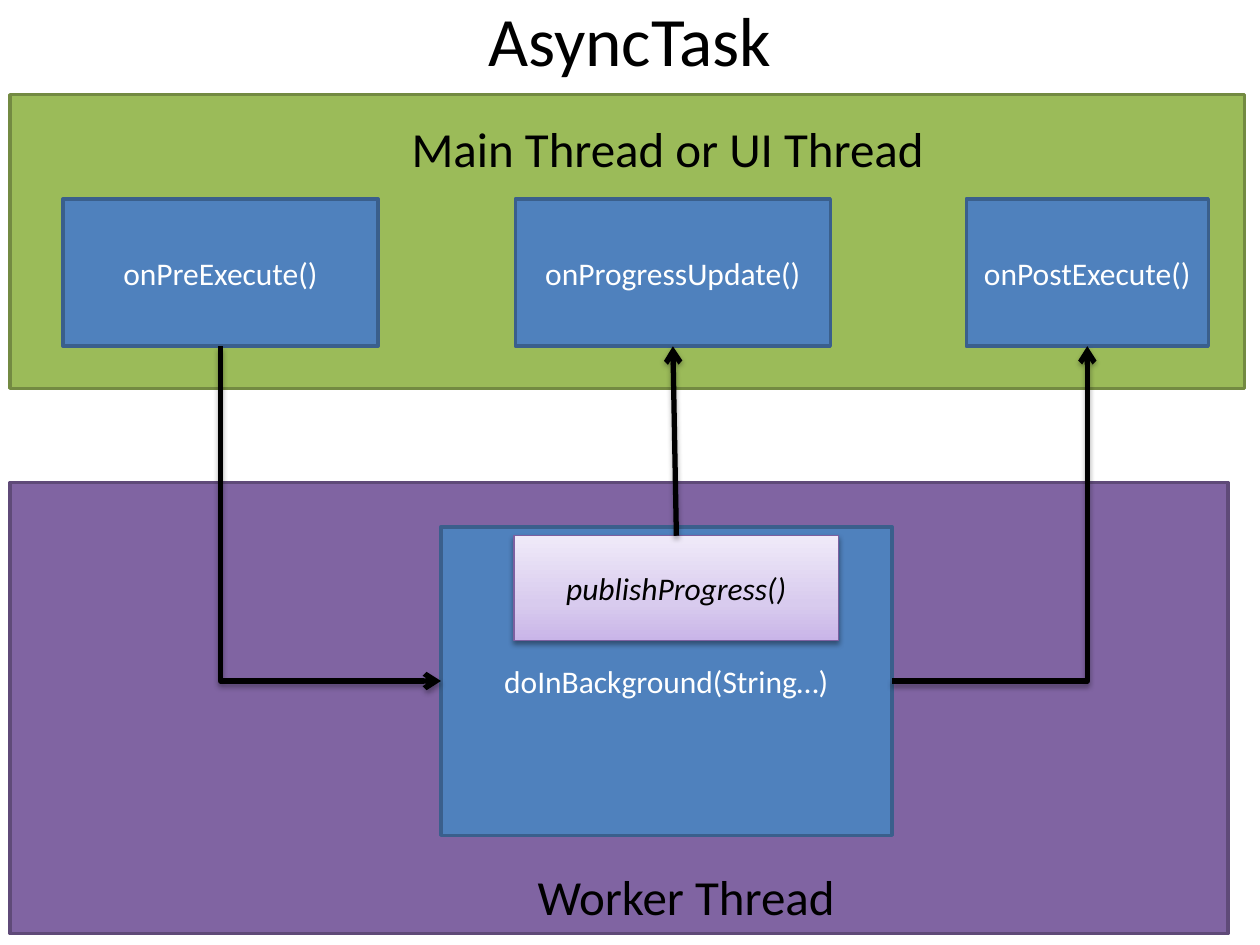
from copy import deepcopy

from lxml.etree import SubElement
from pptx import Presentation
from pptx.dml.color import RGBColor
from pptx.enum.shapes import MSO_CONNECTOR, MSO_SHAPE
from pptx.enum.text import MSO_ANCHOR, MSO_AUTO_SIZE, PP_ALIGN
from pptx.oxml.ns import qn
from pptx.util import Cm, Pt

FONT = "Calibri"
BLACK, WHITE = "000000", "FFFFFF"
BLUE, BLUE_EDGE = "4F81BD", "3A5F8C"
TOP, LEFT, BOTTOM, RIGHT = range(4)

TITLE = ("AsyncTask", (1.9, 0.05, 21.6, 1.45))
THREADS = [
    ((0.2, 9.73, 24.56, 9.09), "8064A2", "5F4A78"),
    ((0.2, 1.91, 24.89, 5.92), "9BBB59", "738A42"),
]
CALLBACK_TOP, CALLBACK_HEIGHT = 4.01, 2.97
CALLBACKS = [
    ("onPreExecute()", 1.27, 6.35),
    ("onProgressUpdate()", 10.39, 6.35),
    ("onPostExecute()", 19.48, 4.88),
]
BACKGROUND = ("doInBackground(String…)", (8.89, 10.62, 9.09, 6.22))
PUBLISH = ("publishProgress()", (10.36, 10.8, 6.55, 2.11))
PUBLISH_STOPS = [(0, "C9B5E8"), (0.35, "D8CBEE"), (1, "F0EAF9")]
LABELS = [
    ("Main Thread or UI Thread", (8.05, 2.26, 11.84, 1.45)),
    ("Worker Thread", (10.59, 17.35, 6.78, 1.45)),
]
ARROWS = [
    ("doInBackground(String…)", LEFT, "onPreExecute()", "headEnd"),
    ("doInBackground(String…)", RIGHT, "onPostExecute()", "tailEnd"),
    ("publishProgress()", TOP, "onProgressUpdate()", "tailEnd"),
]


def rgb(color):
    return RGBColor.from_string(color)


def cm(box):
    return [Cm(v) for v in box]


def write(s, text, size, color, align=PP_ALIGN.CENTER, italic=None):
    tf = s.text_frame
    tf.text = text
    tf.word_wrap = True
    p = tf.paragraphs[0]
    p.alignment = align
    font = p.runs[0].font
    font.name, font.size, font.italic = FONT, Pt(size), italic
    font.color.rgb = rgb(color)
    return tf


def add_box(slide, box, fill, edge, width=2):
    s = slide.shapes.add_shape(MSO_SHAPE.RECTANGLE, *cm(box))
    s.shadow.inherit = False
    s.fill.solid()
    s.fill.fore_color.rgb = rgb(fill)
    s.line.color.rgb = rgb(edge)
    s.line.width = Pt(width)
    return s


def add_shadow(s, distance, opacity):
    spPr = s._element.spPr
    effects = spPr.find(qn("a:effectLst"))
    if effects is None:
        effects = SubElement(spPr, qn("a:effectLst"))
    shadow = SubElement(effects, qn("a:outerShdw"), blurRad=str(Pt(3.1)),
                        dist=str(Pt(distance)), dir="5400000", rotWithShape="0")
    color = SubElement(shadow, qn("a:srgbClr"), val=BLACK)
    SubElement(color, qn("a:alpha"), val=str(opacity * 1000))


def set_gradient(s, stops):
    s.fill.gradient()
    s.fill.gradient_angle = 90
    stop_list = s._element.spPr.find(".//" + qn("a:gsLst"))
    stop_list.insert(1, deepcopy(stop_list[0]))
    for stop, (position, color) in zip(s.fill.gradient_stops, stops):
        stop.position = position
        stop.color.rgb = rgb(color)


def add_arrow(slide, start, site, end, arrow_end):
    kind = MSO_CONNECTOR.STRAIGHT if site == TOP else MSO_CONNECTOR.ELBOW
    c = slide.shapes.add_connector(kind, 0, 0, 0, 0)
    c.begin_connect(start, site)
    c.end_connect(end, BOTTOM)
    if kind == MSO_CONNECTOR.ELBOW:
        c._element.spPr.find(qn("a:prstGeom")).set("prst", "bentConnector2")
    c.line.color.rgb = rgb(BLACK)
    c.line.width = Pt(3)
    SubElement(c.line._get_or_add_ln(), qn("a:" + arrow_end), type="arrow")
    add_shadow(c, 1.8, 35)


def main():
    prs = Presentation()
    prs.slide_width, prs.slide_height = Cm(25.4), Cm(19.05)
    slide = prs.slides.add_slide(prs.slide_layouts[5])

    text, box = TITLE
    title = slide.shapes.title
    title.left, title.top, title.width, title.height = cm(box)
    tf = write(title, text, 39.6, BLACK)
    tf.vertical_anchor = MSO_ANCHOR.MIDDLE
    tf.auto_size = MSO_AUTO_SIZE.NONE

    for thread in THREADS:
        add_box(slide, *thread)

    methods = [(name, (x, CALLBACK_TOP, w, CALLBACK_HEIGHT)) for name, x, w in CALLBACKS]
    nodes = {}
    for name, box in methods + [BACKGROUND]:
        nodes[name] = add_box(slide, box, BLUE, BLUE_EDGE)
        write(nodes[name], name, 18, WHITE)

    name, box = PUBLISH
    publish = nodes[name] = add_box(slide, box, WHITE, "7D60A0", 0.75)
    set_gradient(publish, PUBLISH_STOPS)
    add_shadow(publish, 1.6, 38)
    write(publish, name, 18, BLACK, italic=True)

    for text, box in LABELS:
        tf = write(slide.shapes.add_textbox(*cm(box)), text, 28, BLACK, PP_ALIGN.LEFT)
        tf.auto_size = MSO_AUTO_SIZE.SHAPE_TO_FIT_TEXT

    for start, site, end, arrow_end in ARROWS:
        add_arrow(slide, nodes[start], site, nodes[end], arrow_end)

    prs.save("out.pptx")


if __name__ == "__main__":
    main()
